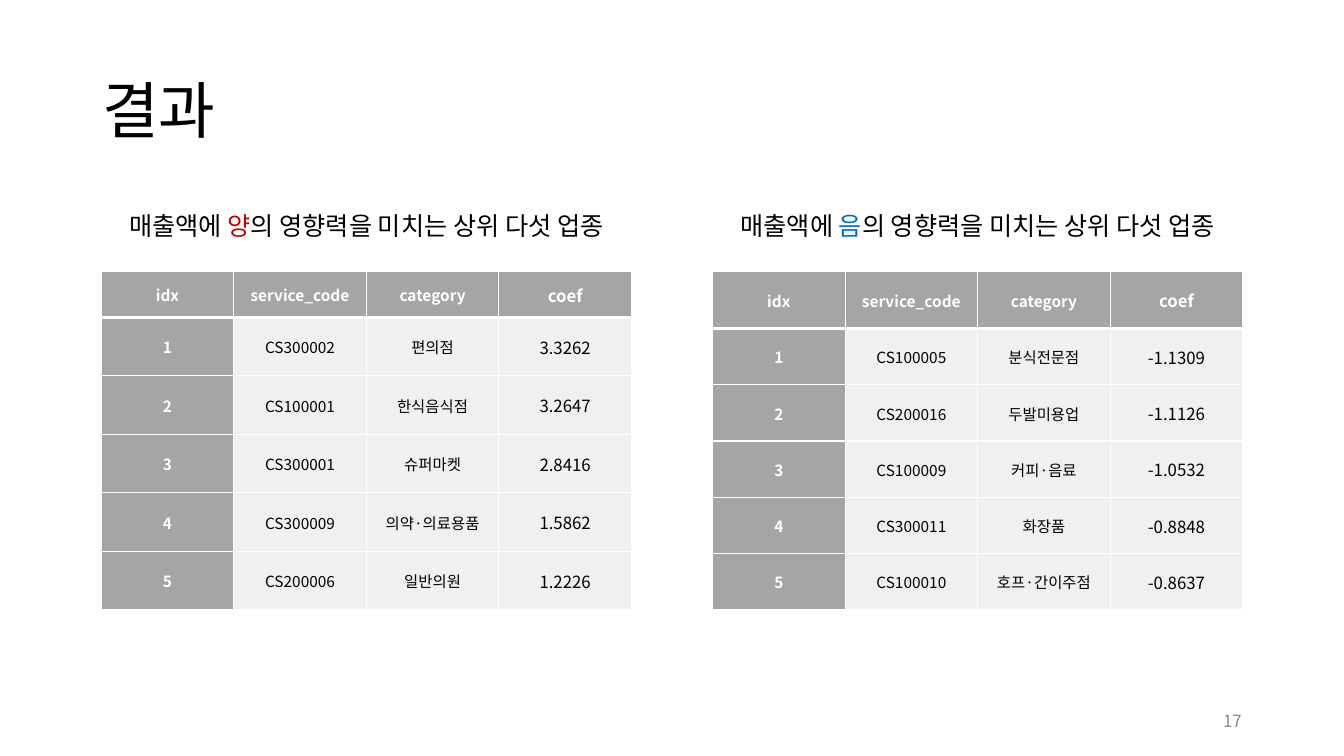
from lxml import etree
from pptx import Presentation
from pptx.dml.color import RGBColor
from pptx.enum.text import MSO_ANCHOR, PP_ALIGN
from pptx.oxml.ns import qn
from pptx.util import Pt

LEFT, CENTER, RIGHT = PP_ALIGN.LEFT, PP_ALIGN.CENTER, PP_ALIGN.RIGHT
TOP, MIDDLE = MSO_ANCHOR.TOP, MSO_ANCHOR.MIDDLE

FONT = "Noto Sans CJK KR"
BLACK = RGBColor(0x00, 0x00, 0x00)
WHITE = RGBColor(0xFF, 0xFF, 0xFF)
GRAY = RGBColor(0xA5, 0xA5, 0xA5)
PALE = RGBColor(0xF0, 0xF0, 0xF0)
NUMBER_GRAY = RGBColor(0x8C, 0x8C, 0x8C)
RED = RGBColor(0xC0, 0x00, 0x00)
BLUE = RGBColor(0x00, 0x70, 0xC0)

# Content
TITLE = "결과"
PAGE_NUMBER = "17"
CAPTION_START, CAPTION_END = "매출액에 ", "의 영향력을 미치는 상위 다섯 업종"
HEADER = ("idx", "service_code", "category", "coef")
POSITIVE = [
    ("CS300002", "편의점", "3.3262"),
    ("CS100001", "한식음식점", "3.2647"),
    ("CS300001", "슈퍼마켓", "2.8416"),
    ("CS300009", "의약·의료용품", "1.5862"),
    ("CS200006", "일반의원", "1.2226"),
]
NEGATIVE = [
    ("CS100005", "분식전문점", "-1.1309"),
    ("CS200016", "두발미용업", "-1.1126"),
    ("CS100009", "커피·음료", "-1.0532"),
    ("CS300011", "화장품", "-0.8848"),
    ("CS100010", "호프·간이주점", "-0.8637"),
]
# Sign, its colour, services, table left, header height
PANELS = [
    ("양", RED, POSITIVE, 72.3, 33),
    ("음", BLUE, NEGATIVE, 509, 41),
]

# Layout
TABLE_TOP, TABLE_WIDTH, TABLE_HEIGHT = 193.7, 378.8, 241.9
CAPTION_TOP, CAPTION_WIDTH, CAPTION_HEIGHT = 147, 412.6, 29


def style_span(span, size, color, bold=False):
    font = span.font
    font.name, font.size, font.bold = FONT, Pt(size), bold
    font.color.rgb = color
    east_asian = etree.SubElement(span._r.get_or_add_rPr(), qn("a:ea"))
    east_asian.set("typeface", FONT)


def add_text(page, left, top, width, height, spans, size, align, anchor):
    box = page.shapes.add_textbox(Pt(left), Pt(top), Pt(width), Pt(height))
    frame = box.text_frame
    frame.word_wrap = True
    frame.vertical_anchor = anchor
    para = frame.paragraphs[0]
    para.alignment = align
    for text, color in spans:
        span = para.add_run()
        span.text = text
        style_span(span, size, color)
    return para


def set_borders(cell, top, bottom):
    properties = cell._tc.get_or_add_tcPr()
    sides = (("L", 1), ("R", 1), ("T", top), ("B", bottom))
    for position, (side, width) in enumerate(sides):
        line = etree.Element(qn(f"a:ln{side}"), w=str(Pt(width)))
        fill = etree.SubElement(line, qn("a:solidFill"))
        etree.SubElement(fill, qn("a:srgbClr"), val=str(WHITE))
        properties.insert(position, line)


def fill_cell(cell, text, row, column):
    emphasized = row == 0 or column == 0
    cell.fill.solid()
    cell.fill.fore_color.rgb = GRAY if emphasized else PALE
    cell.vertical_anchor = MIDDLE
    cell.margin_left = cell.margin_right = cell.margin_top = Pt(0.7)
    cell.margin_bottom = Pt(0)
    cell.text_frame.text = text
    para = cell.text_frame.paragraphs[0]
    para.alignment = CENTER
    size = 12 if column == len(HEADER) - 1 else 11
    style_span(para.runs[0], size, WHITE if emphasized else BLACK, emphasized)
    set_borders(cell, 3 if row == 1 else 1, 3 if row == 0 else 1)


def add_service_table(page, left, services, header_height):
    rows = [HEADER] + [(str(rank), *service) for rank, service in enumerate(services, 1)]
    table = page.shapes.add_table(
        len(rows), len(HEADER), Pt(left), Pt(TABLE_TOP), Pt(TABLE_WIDTH), Pt(TABLE_HEIGHT)
    ).table
    table.horz_banding = False
    for column in table.columns:
        column.width = Pt(TABLE_WIDTH / len(HEADER))
    body_height = (TABLE_HEIGHT - header_height) / len(services)
    for row, values in enumerate(rows):
        table.rows[row].height = Pt(body_height if row else header_height)
        for column, text in enumerate(values):
            fill_cell(table.cell(row, column), text, row, column)


def main():
    deck = Presentation()
    deck.slide_width, deck.slide_height = Pt(960), Pt(540)
    page = deck.slides.add_slide(deck.slide_layouts[6])

    # Title
    title = add_text(page, 66, 28.8, 828, 104.4, [(TITLE, BLACK)], 44, LEFT, MIDDLE)
    title.line_spacing = 0.9

    # Captions and tables
    for sign, color, services, left, header_height in PANELS:
        add_service_table(page, left, services, header_height)
        caption = [(CAPTION_START, BLACK), (sign, color), (CAPTION_END, BLACK)]
        caption_left = left + (TABLE_WIDTH - CAPTION_WIDTH) / 2
        add_text(page, caption_left, CAPTION_TOP, CAPTION_WIDTH, CAPTION_HEIGHT,
                 caption, 18, CENTER, TOP)

    # Page number
    add_text(page, 678, 500.5, 216, 28.8, [(PAGE_NUMBER, NUMBER_GRAY)], 12, RIGHT, MIDDLE)

    deck.save("out.pptx")


if __name__ == "__main__":
    main()
